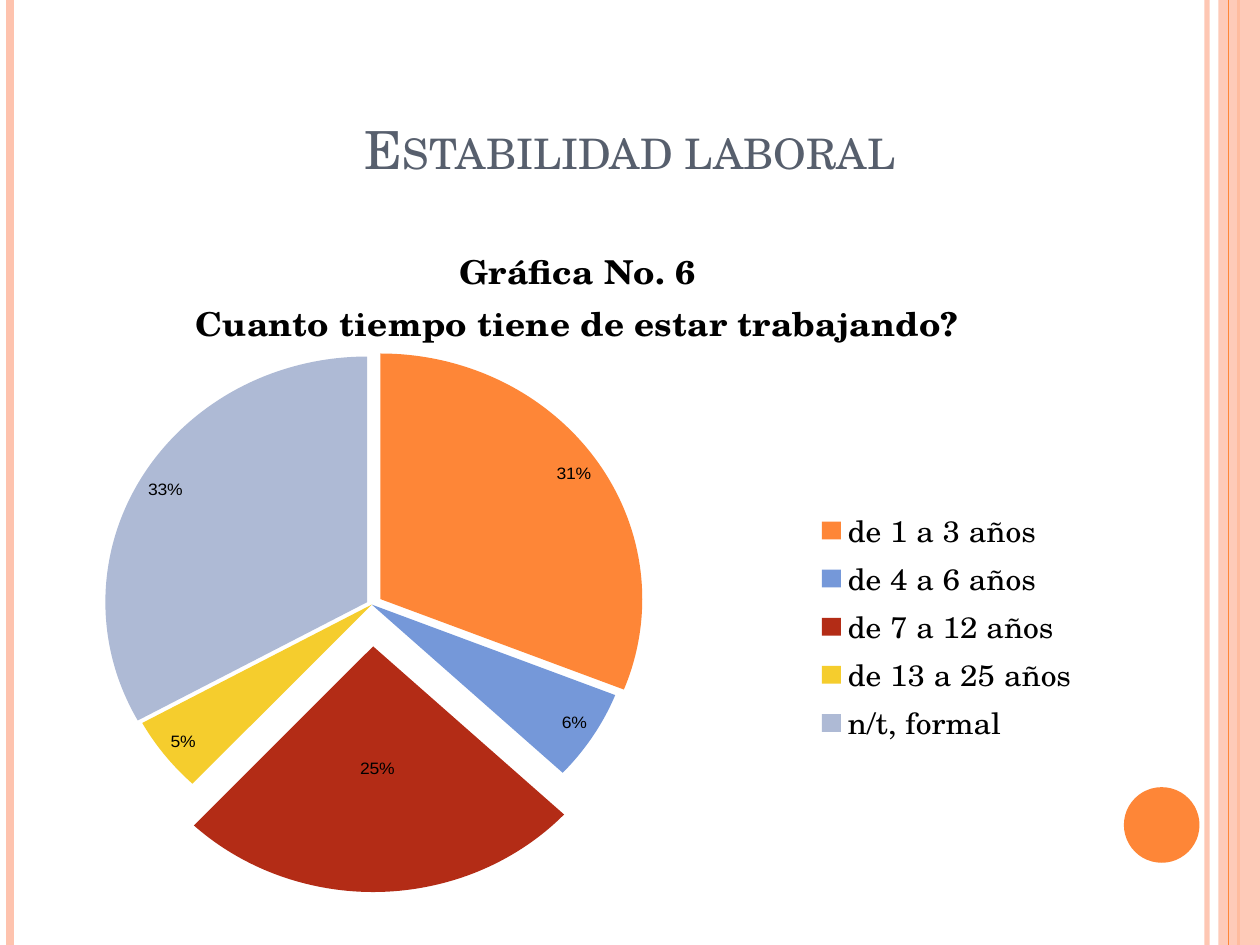
from lxml import etree
from pptx import Presentation
from pptx import util as u
from pptx.chart.data import CategoryChartData
from pptx.dml.color import RGBColor
from pptx.enum import chart as ch, shapes, text
from pptx.oxml import parse_xml
from pptx.oxml.ns import nsdecls, qn

W, H = u.Inches(10), u.Inches(7.5)
FONT = "TeX Gyre Schola"
COLORS = {"orange": "FE8637", "blue": "7598D9", "red": "B32C16",
          "yellow": "F5CD2D", "lavender": "AEBAD5", "peach": "FEC3AE",
          "slate": "575F6D", "black": "000000"}
# category, share, colour, explosion in percent, label position
SLICES = [("de 1 a 3 años ", 0.31, "orange", 4, "INSIDE_END"),
          ("de 4 a 6 años ", 0.06, "blue", 0, "INSIDE_END"),
          ("de 7 a 12 años ", 0.25, "red", 17, "CENTER"),
          ("de 13 a 25 años ", 0.05, "yellow", 0, "INSIDE_END"),
          ("n/t, formal ", 0.33, "lavender", 2, "INSIDE_END")]


def rgb(name):
    return RGBColor.from_string(COLORS[name])


def style(font, color="black", **values):
    for key, value in {"name": FONT, **values}.items():
        setattr(font, key, value)
    font.color.rgb = rgb(color)


def set_alpha(sp, percent):
    for clr in sp._element.spPr.iter(qn("a:srgbClr")):
        etree.SubElement(clr, qn("a:alpha")).set("val", str(percent * 1000))


def add_stripe(s, x, color, width, alpha=100):
    """Full-height vertical line at a share x of the slide width."""
    line = s.shapes.add_connector(shapes.MSO_CONNECTOR.STRAIGHT,
                                  int(W * x), 0, int(W * x), H)
    line.line.color.rgb = rgb(color)
    line.line.width = u.Pt(width)
    if alpha < 100:
        set_alpha(line, alpha)
    etree.SubElement(line._element.spPr, qn("a:effectLst"))


def add_block(s, kind, x, y, w, h, color, alpha=100):
    sp = s.shapes.add_shape(kind, int(W * x), int(H * y), int(W * w), int(H * h))
    sp.shadow.inherit = False
    sp.fill.solid()
    sp.fill.fore_color.rgb = rgb(color)
    sp.line.fill.background()
    if alpha < 100:
        set_alpha(sp, alpha)


def set_title(s, words):
    sp = s.shapes.title
    box = {"left": 0.5, "top": 0.77, "width": 9, "height": 0.71}
    for key, value in box.items():
        setattr(sp, key, u.Inches(value))
    tf = sp.text_frame
    tf.vertical_anchor = text.MSO_ANCHOR.BOTTOM
    p = tf.paragraphs[0]
    p.alignment = text.PP_ALIGN.CENTER
    r = p.add_run()
    r.text = words
    style(r.font, "slate", size=u.Pt(30))
    r.font._element.set("cap", "small")


def set_layout(parent, x, y, w, h, inner=False):
    """Place a chart part by shares of the chart area."""
    target = '<c:layoutTarget val="inner"/>' if inner else ""
    sizes = "".join(f'<c:{k} val="{v}"/>' for k, v in zip("xywh", (x, y, w, h)))
    layout = parse_xml(
        f'<c:layout {nsdecls("c")}><c:manualLayout>{target}'
        f'<c:xMode val="edge"/><c:yMode val="edge"/>{sizes}'
        '</c:manualLayout></c:layout>')
    for old in parent.findall(qn("c:layout")):
        parent.remove(old)
    parent.insert(0 if inner else 1, layout)


def add_pie(s):
    data = CategoryChartData(number_format="0%")
    data.categories = [row[0] for row in SLICES]
    data.add_series("Series 1", [row[1] for row in SLICES])
    chart = s.shapes.add_chart(ch.XL_CHART_TYPE.PIE, u.Inches(0.5), u.Inches(1.75),
                               u.Inches(8.17), u.Inches(5.33), data).chart
    style(chart.font, size=u.Pt(10))

    tf = chart.chart_title.text_frame
    tf.text = "Gráfica No. 6\nCuanto tiempo tiene de estar trabajando?"
    for p in tf.paragraphs:
        style(p.runs[0].font, size=u.Pt(20), bold=True)
    chart.chart_title.include_in_layout = True

    chart.has_legend = True
    chart.legend.position = ch.XL_LEGEND_POSITION.RIGHT
    chart.legend.include_in_layout = False
    style(chart.legend.font, size=u.Pt(18))
    set_layout(chart.legend._element, 0.73, 0.45, 0.27, 0.39)

    plot = chart.plots[0]
    plot.vary_by_categories = True
    set_layout(chart._chartSpace.chart.plotArea, 0, 0.22, 0.6, 0.78, inner=True)
    plot.has_data_labels = True
    labels = plot.data_labels
    labels.show_value = True
    labels.number_format, labels.number_format_is_linked = "0%", False
    style(labels.font, name="Arial", size=u.Pt(10))

    for i, (_, _, color, explosion, position) in enumerate(SLICES):
        point = plot.series[0].points[i]
        fill = point.format.fill
        fill.solid()
        fill.fore_color.rgb = rgb(color)
        if explosion:
            fill._xPr.addprevious(parse_xml(
                f'<c:explosion {nsdecls("c")} val="{explosion}"/>'))
        label = point.data_label
        style(label.font, name="Arial", size=u.Pt(10))
        label.position = ch.XL_LABEL_POSITION[position]


def main():
    prs = Presentation()
    prs.slide_width, prs.slide_height = W, H
    s = prs.slides.add_slide(prs.slide_layouts[5])
    add_stripe(s, 0.958, "peach", 3, 93)
    add_stripe(s, 0.008, "peach", 4.5)
    add_stripe(s, 0.983, "orange", 1.5)
    add_block(s, shapes.MSO_SHAPE.RECTANGLE, 0.967, 0, 0.033, 1, "peach", 87)
    add_stripe(s, 0.975, "orange", 0.75)
    add_block(s, shapes.MSO_SHAPE.OVAL, 0.892, 0.833, 0.06, 0.08, "orange")
    set_title(s, "Estabilidad laboral")
    add_pie(s)
    prs.save("out.pptx")


if __name__ == "__main__":
    main()
